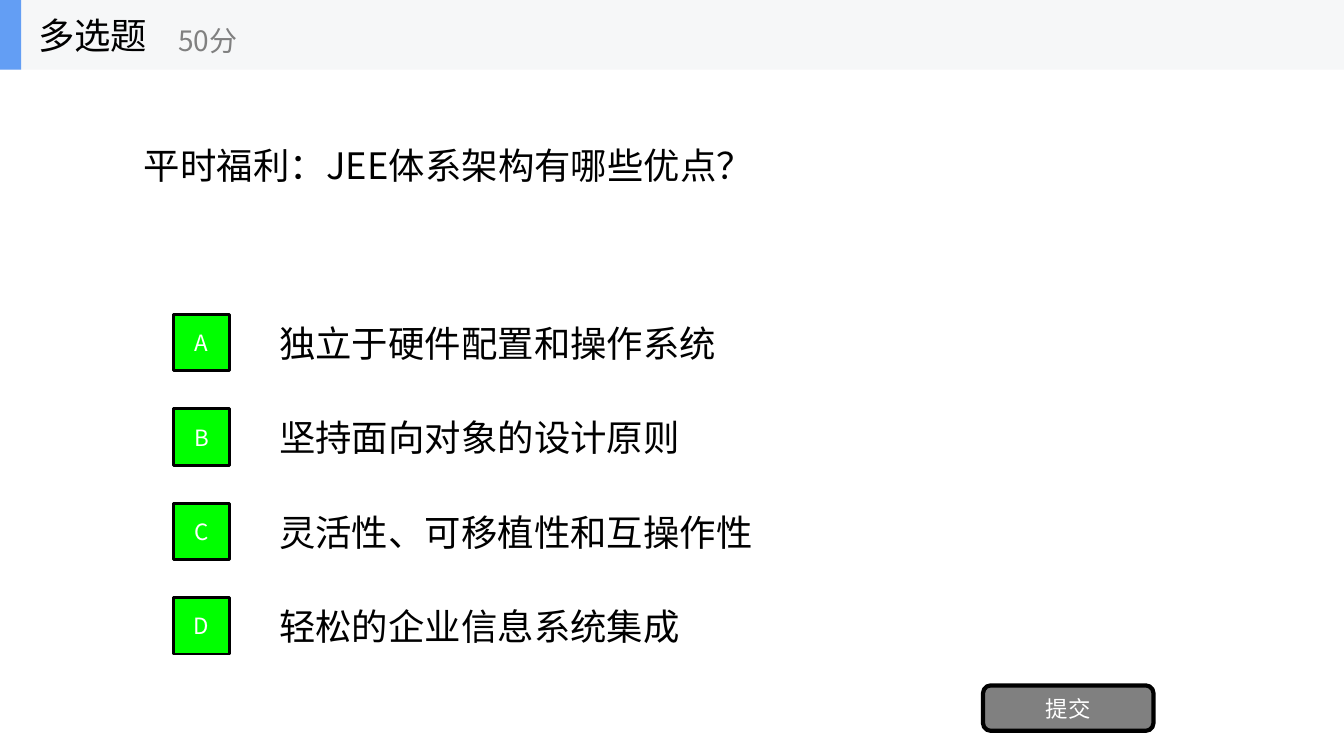
from lxml.etree import SubElement
from pptx import Presentation
from pptx.dml.color import RGBColor
from pptx.enum.shapes import MSO_SHAPE as Shape
from pptx.enum.text import MSO_ANCHOR as Anchor, PP_ALIGN as Align
from pptx.oxml.ns import qn
from pptx.util import Inches, Pt

QUESTION = "平时福利：JEE体系架构有哪些优点？"
OPTIONS = [
    ("A", "独立于硬件配置和操作系统"),
    ("B", "坚持面向对象的设计原则"),
    ("C", "灵活性、可移植性和互操作性"),
    ("D", "轻松的企业信息系统集成"),
]
SUBMIT = "提交"
QUESTION_TYPE = "多选题"
SCORE = "50分"

FONT = "Noto Sans CJK SC"
COLORS = {
    "black": "000000",
    "white": "FFFFFF",
    "gray": "808080",
    "green": "00FF00",
    "band": "F6F7F8",
    "accent": "639EF4",
}
BODY_SIZE, SCORE_SIZE, BUTTON_SIZE = 26, 20, 16
SLIDE_WIDTH, SLIDE_HEIGHT = 13.33, 7.5
HEADER_HEIGHT = 0.69
OPTION_TOP, OPTION_STEP, OPTION_HEIGHT = 3.05, 0.9367, 0.7
OPTION_LEFT, OPTION_WIDTH = 2.67, 9.33
KEY_LEFT, KEY_SIDE = 1.72, 0.56


def color(name):
    return RGBColor.from_string(COLORS[name])


def write(shape, text, size, ink, align=Align.LEFT):
    frame = shape.text_frame
    frame.word_wrap = True
    frame.vertical_anchor = Anchor.MIDDLE
    para = frame.paragraphs[0]
    para.alignment = align
    span = para.add_run()
    span.text = text
    span.font.size = Pt(size)
    span.font.name = FONT
    span.font.color.rgb = color(ink)
    SubElement(span.font._element, qn("a:ea"), typeface=FONT)


def add_text(shapes, place, text, size=BODY_SIZE, ink="black"):
    box = shapes.add_textbox(*map(Inches, place))
    write(box, text, size, ink)


def add_block(shapes, kind, place, fill, line_width=0):
    block = shapes.add_shape(kind, *map(Inches, place))
    block.shadow.inherit = False
    block.fill.solid()
    block.fill.fore_color.rgb = color(fill)
    if line_width:
        block.line.color.rgb = color("black")
        block.line.width = Pt(line_width)
    else:
        block.line.fill.background()
    return block


def add_button(shapes, kind, place, fill, line_width, text):
    button = add_block(shapes, kind, place, fill, line_width)
    write(button, text, BUTTON_SIZE, "white", Align.CENTER)


def add_options(shapes):
    tops = [OPTION_TOP + OPTION_STEP * row for row in range(len(OPTIONS))]
    for top, (key, answer) in zip(tops, OPTIONS):
        add_text(shapes, (OPTION_LEFT, top, OPTION_WIDTH, OPTION_HEIGHT), answer)
    inset = (OPTION_HEIGHT - KEY_SIDE) / 2
    for top, (key, answer) in zip(tops, OPTIONS):
        place = (KEY_LEFT, top + inset, KEY_SIDE, KEY_SIDE)
        add_button(shapes, Shape.RECTANGLE, place, "green", 2, key)


def add_header(shapes):
    header = shapes.add_group_shape().shapes
    for width, fill in ((SLIDE_WIDTH, "band"), (0.21, "accent")):
        add_block(header, Shape.RECTANGLE, (0, 0, width, HEADER_HEIGHT), fill)
    add_text(header, (0.28, 0, 2.08, HEADER_HEIGHT), QUESTION_TYPE)
    add_text(header, (1.67, 0.12, 2.5, 0.56), SCORE, SCORE_SIZE, "gray")


def main():
    deck = Presentation()
    deck.slide_width = Inches(SLIDE_WIDTH)
    deck.slide_height = Inches(SLIDE_HEIGHT)
    page = deck.slides.add_slide(deck.slide_layouts[6])
    add_text(page.shapes, (1.33, 0.47, 10.67, 2.34), QUESTION)
    add_options(page.shapes)
    add_button(page.shapes, Shape.ROUNDED_RECTANGLE, (9.75, 6.8, 1.69, 0.45), "gray", 3, SUBMIT)
    add_header(page.shapes)
    deck.save("out.pptx")


if __name__ == "__main__":
    main()
